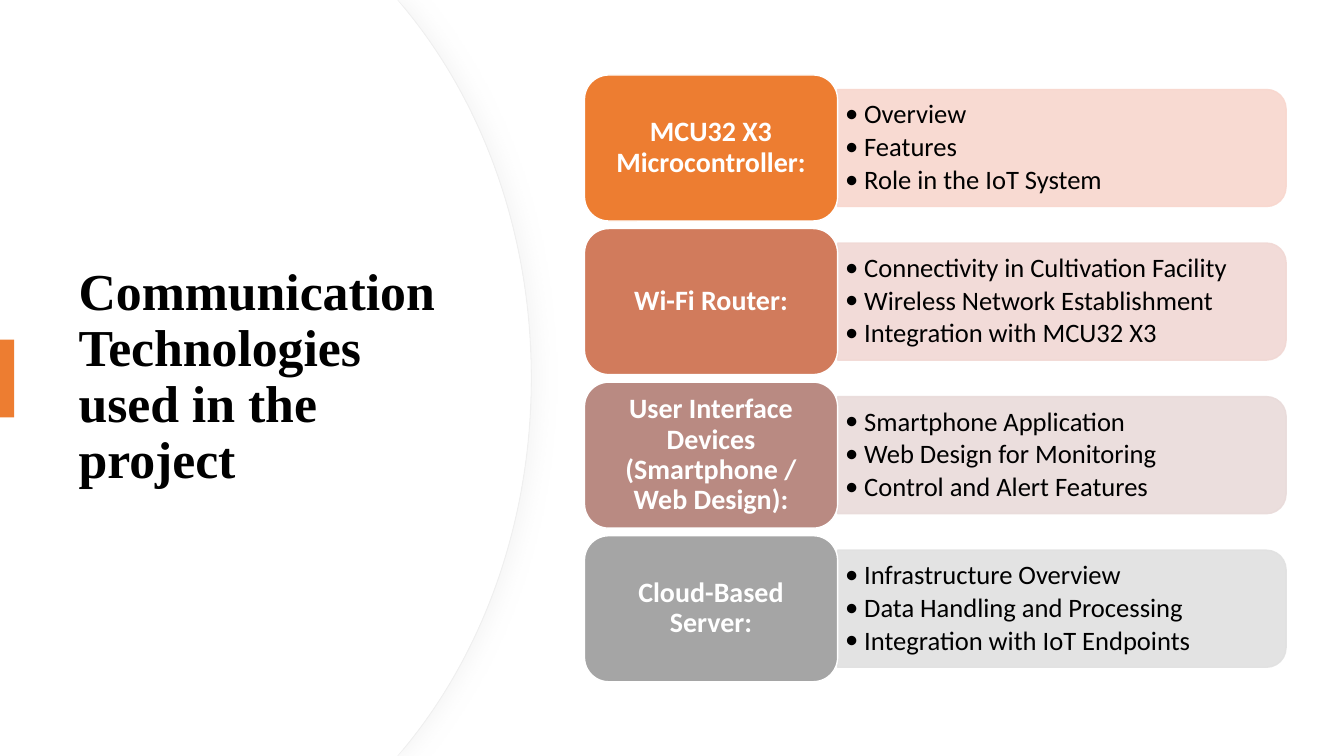
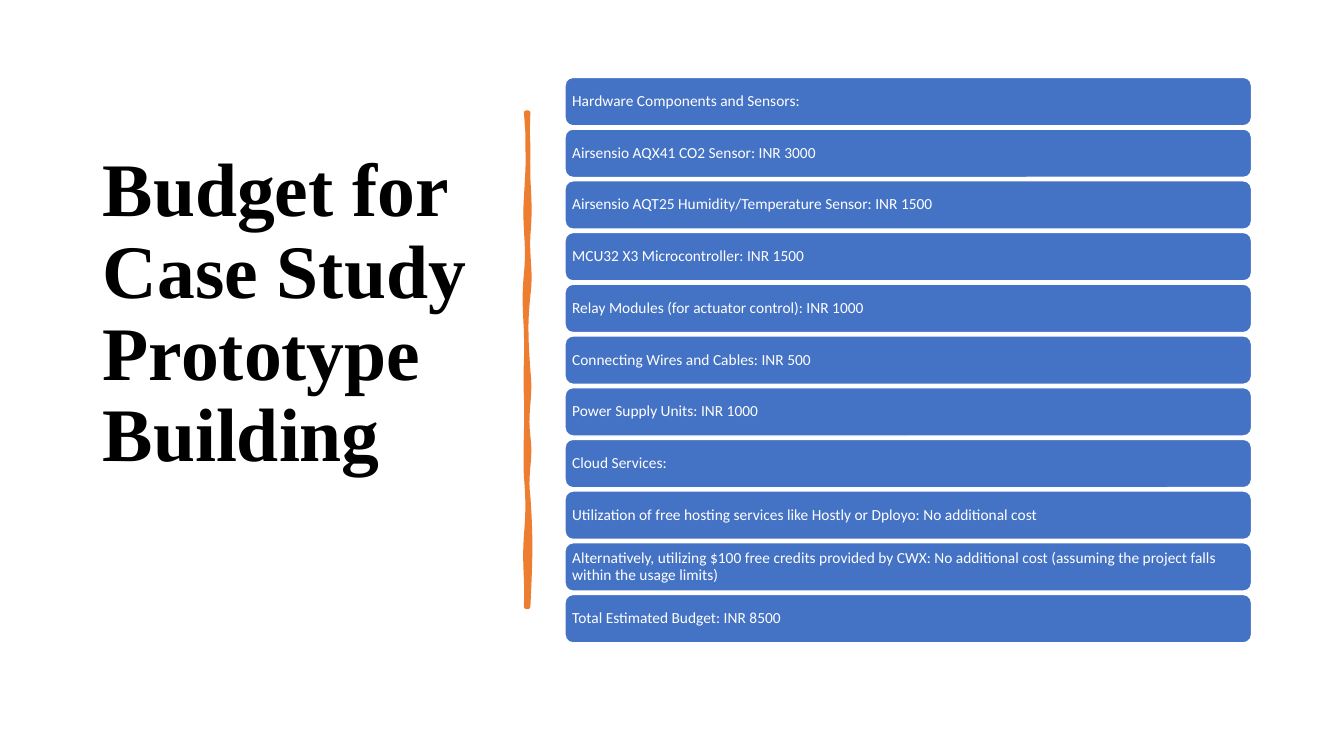
from dataclasses import dataclass
from typing import Optional

from lxml import etree
from pptx import Presentation
from pptx.dml.color import RGBColor
from pptx.enum.shapes import MSO_SHAPE
from pptx.enum.text import MSO_ANCHOR, PP_ALIGN
from pptx.oxml import parse_xml
from pptx.oxml.ns import qn
from pptx.util import Cm, Pt

RECTANGLE = MSO_SHAPE.RECTANGLE
ROUNDED = MSO_SHAPE.ROUNDED_RECTANGLE
ROUNDED_TOP = MSO_SHAPE.ROUND_2_SAME_RECTANGLE
MIDDLE = MSO_ANCHOR.MIDDLE
LEFT, CENTER = PP_ALIGN.LEFT, PP_ALIGN.CENTER

# Shared look
SLIDE_WIDTH, SLIDE_HEIGHT = 33.87, 19.05
TITLE_FONT, BODY_FONT = "Times New Roman", "Calibri"
BLACK, WHITE = "000000", "FFFFFF"
ORANGE, BLUE, PALE_GRAY = "ED7D31", "4472C4", "EFEFEF"
DRAWING_NAMESPACE = "http://schemas.openxmlformats.org/drawingml/2006/main"
SOFT_SHADOW = (
    f'<a:effectLst xmlns:a="{DRAWING_NAMESPACE}">'
    '<a:outerShdw blurRad="190500" dist="38100" dir="0" algn="l" rotWithShape="0">'
    '<a:srgbClr val="D9D9D9"><a:alpha val="25000"/></a:srgbClr>'
    "</a:outerShdw></a:effectLst>"
)


@dataclass(frozen=True)
class Box:
    """Left, top, width and height in centimetres."""
    left: float
    top: float
    width: float
    height: float

    def lengths(self) -> tuple:
        return Cm(self.left), Cm(self.top), Cm(self.width), Cm(self.height)


@dataclass(frozen=True)
class TextStyle:
    size: float
    color: str
    font: str = BODY_FONT
    bold: bool = False
    align: int = LEFT
    space_after: float = 0
    bullet_indent: float = 0
    margin_x: float = 0.19
    margin_y: float = 0.1


@dataclass(frozen=True)
class Technology:
    name: str
    color: str
    panel_color: str
    points: tuple


@dataclass(frozen=True)
class Wave:
    """End of one curve of the brush stroke and its two sideways bulges."""
    end: float
    first: float
    second: float


LABEL_STYLE = TextStyle(20, WHITE, bold=True, align=CENTER)
POINT_STYLE = TextStyle(19, BLACK, space_after=2.85, bullet_indent=0.48)
BAR_STYLE = TextStyle(11, WHITE, margin_x=0.12, margin_y=0.12)

TECHNOLOGIES = (
    Technology("MCU32 X3 Microcontroller:", ORANGE, "F8D7CE",
               ("Overview", "Features", "Role in the IoT System")),
    Technology("Wi-Fi Router:", "D17B5C", "F1D8D4",
               ("Connectivity in Cultivation Facility",
                "Wireless Network Establishment", "Integration with MCU32 X3")),
    Technology("User Interface Devices (Smartphone / Web Design):", "B98A82", "E9DBDA",
               ("Smartphone Application", "Web Design for Monitoring",
                "Control and Alert Features")),
    Technology("Cloud-Based Server:", "A5A5A5", "E1E1E1",
               ("Infrastructure Overview", "Data Handling and Processing",
                "Integration with IoT Endpoints")),
)

BUDGET_ITEMS = (
    "Hardware Components and Sensors:",
    "Airsensio AQX41 CO2 Sensor: INR 3000",
    "Airsensio AQT25 Humidity/Temperature Sensor: INR 1500",
    "MCU32 X3 Microcontroller: INR 1500",
    "Relay Modules (for actuator control): INR 1000",
    "Connecting Wires and Cables: INR 500",
    "Power Supply Units: INR 1000",
    "Cloud Services:",
    "Utilization of free hosting services like Hostly or Dployo: No additional cost",
    "Alternatively, utilizing $100 free credits provided by CWX: No additional cost "
    "(assuming the project falls within the usage limits)",
    "Total Estimated Budget: INR 8500",
)

RIGHT_WAVES = (
    Wave(4.5, -0.03, 0), Wave(5.92, 0.03, 0.05), Wave(7.44, -0.03, 0.08),
    Wave(9.35, -0.08, -0.05), Wave(11, 0.08, -0.08), Wave(12.52, 0.08, -0.08),
    Wave(15.29, 0.08, 0.05),
)
LEFT_WAVES = (
    Wave(13.51, 0.03, -0.05), Wave(11.99, 0.05, 0.05), Wave(9.96, -0.03, 0.03),
    Wave(8.31, -0.03, 0.03), Wave(6.91, -0.03, -0.05), Wave(5, 0.08, -0.05),
    Wave(2.84, 0.05, 0.08),
)


def rgb(color: str) -> RGBColor:
    return RGBColor.from_string(color)


def paint(shape, fill: str, line: Optional[str] = None, width: float = 1,
          opacity: int = 100) -> None:
    shape.shadow.inherit = False
    shape.fill.solid()
    shape.fill.fore_color.rgb = rgb(fill)
    if line:
        shape.line.color.rgb = rgb(line)
        shape.line.width = Pt(width)
    else:
        shape.line.fill.background()
    if opacity < 100:
        for color in shape._element.spPr.iter(qn("a:srgbClr")):
            etree.SubElement(color, qn("a:alpha"), val=str(opacity * 1000))


def write(shape, lines: tuple, style: TextStyle) -> None:
    frame = shape.text_frame
    frame.word_wrap = True
    frame.vertical_anchor = MIDDLE
    frame.margin_left = frame.margin_right = Cm(style.margin_x)
    frame.margin_top = frame.margin_bottom = Cm(style.margin_y)
    for index, line in enumerate(lines):
        paragraph = frame.add_paragraph() if index else frame.paragraphs[0]
        paragraph.alignment = style.align
        paragraph.line_spacing = 0.9
        paragraph.space_after = Pt(style.space_after)
        if style.bullet_indent:
            properties = paragraph._p.get_or_add_pPr()
            properties.set("marL", str(Cm(style.bullet_indent)))
            properties.set("indent", str(-Cm(style.bullet_indent)))
            etree.SubElement(properties, qn("a:buFont"), typeface=style.font)
            etree.SubElement(properties, qn("a:buChar"), char="•")
        run = paragraph.add_run()
        run.text = line
        run.font.name = style.font
        run.font.size = Pt(style.size)
        run.font.bold = style.bold
        run.font.color.rgb = rgb(style.color)


def add_block(slide, kind: int, box: Box, fill: str, line: Optional[str] = None,
              opacity: int = 100):
    shape = slide.shapes.add_shape(kind, *box.lengths())
    paint(shape, fill, line, opacity=opacity)
    return shape


def add_text(slide, box: Box, lines: tuple, style: TextStyle) -> None:
    write(slide.shapes.add_textbox(*box.lengths()), lines, style)


def add_title(slide, box: Box, text: str, size: float) -> None:
    style = TextStyle(size, BLACK, TITLE_FONT, True, margin_x=0.25, margin_y=0.13)
    add_text(slide, box, (text,), style)


# Curved outlines
def add_outline(slide, start: tuple, segments: list):
    """Draw segments of one point (line) or three points (cubic curve)."""
    builder = slide.shapes.build_freeform(Cm(start[0]), Cm(start[1]), scale=1.0)
    builder.add_line_segments([(Cm(x), Cm(y)) for x, y in (part[-1] for part in segments)])
    shape = builder.convert_to_shape()
    for line, segment in zip(list(shape._element.iter(qn("a:lnTo"))), segments):
        if len(segment) == 3:
            bend = etree.Element(qn("a:cubicBezTo"))
            for x, y in segment:
                etree.SubElement(bend, qn("a:pt"), x=str(Cm(x) - shape.left),
                                 y=str(Cm(y) - shape.top))
            line.getparent().replace(line, bend)
    return shape


def add_side_disc(slide, edge: float):
    middle = SLIDE_HEIGHT / 2
    shoulder, bend = edge - 3.2, edge - 1.22

    def mirrored(x: float, y: float) -> tuple:
        return x, SLIDE_HEIGHT - y

    return add_outline(slide, (0, 0), [
        ((10.01, 0),),
        ((shoulder, 0.2),),
        ((bend, 2.59), (edge, 5.89), (edge, middle)),
        (mirrored(edge, 5.89), mirrored(bend, 2.59), mirrored(shoulder, 0.2)),
        (mirrored(10.01, 0),),
        (mirrored(0, 0),),
    ])


def wavy_edge(x: float, start: float, waves: tuple) -> list:
    segments = []
    for wave in waves:
        rise = wave.end - start
        segments.append(((x + wave.first, start + 0.4 * rise),
                         (x + wave.second, start + 0.6 * rise), (x, wave.end)))
        start = wave.end
    return segments


def add_brush_stroke(slide) -> None:
    right, left = 13.31, 13.26
    top, bottom = LEFT_WAVES[-1].end, RIGHT_WAVES[-1].end
    segments = [*wavy_edge(right, top, RIGHT_WAVES), ((left, bottom),),
                *wavy_edge(left, bottom, LEFT_WAVES)]
    paint(add_outline(slide, (right, top), segments), ORANGE, ORANGE, 3.25)


# Slides
def add_technology_row(slide, technology: Technology, top: float) -> None:
    label = Box(14.73, top, 6.38, 3.68)
    panel_left, middle = label.left + label.width, top + label.height / 2
    length, depth, text_height = 11.3, 2.95, 2.67
    # The panel is turned so that its rounded end faces right.
    upright = Box(panel_left + (length - depth) / 2, middle - length / 2, depth, length)
    panel = add_block(slide, ROUNDED_TOP, upright, technology.panel_color,
                      technology.panel_color, 90)
    panel.rotation = 90
    add_text(slide, Box(panel_left, middle - text_height / 2, 11.18, text_height),
             technology.points, POINT_STYLE)
    write(add_block(slide, ROUNDED, label, technology.color, WHITE),
          (technology.name,), LABEL_STYLE)


def build_technologies(slide) -> None:
    rim = add_side_disc(slide, 13.39)
    paint(rim, WHITE, PALE_GRAY, 0.75)
    properties = rim._element.spPr
    properties.replace(properties.find(qn("a:effectLst")), parse_xml(SOFT_SHADOW))
    paint(add_side_disc(slide, 13.37), WHITE)
    add_title(slide, Box(1.73, 3.23, 10, 12.57),
              "Communication Technologies used in the project", 37)
    add_block(slide, RECTANGLE, Box(0, 8.56, 0.36, 1.96), ORANGE)
    for index, technology in enumerate(TECHNOLOGIES):
        add_technology_row(slide, technology, 1.89 + 3.87 * index)


def build_budget(slide) -> None:
    add_title(slide, Box(2.34, 1.42, 10, 13.03),
              "Budget for Case Study Prototype Building", 54)
    add_brush_stroke(slide)
    first_top, last_top = 1.95, 14.98
    pitch = (last_top - first_top) / (len(BUDGET_ITEMS) - 1)
    for index, item in enumerate(BUDGET_ITEMS):
        bar = Box(14.24, first_top + pitch * index, 17.3, 1.22)
        write(add_block(slide, ROUNDED, bar, BLUE, WHITE), (item,), BAR_STYLE)


def main() -> None:
    presentation = Presentation()
    presentation.slide_width = Cm(SLIDE_WIDTH)
    presentation.slide_height = Cm(SLIDE_HEIGHT)
    blank = presentation.slide_layouts[6]
    for build in (build_technologies, build_budget):
        build(presentation.slides.add_slide(blank))
    presentation.save("out.pptx")


if __name__ == "__main__":
    main()
